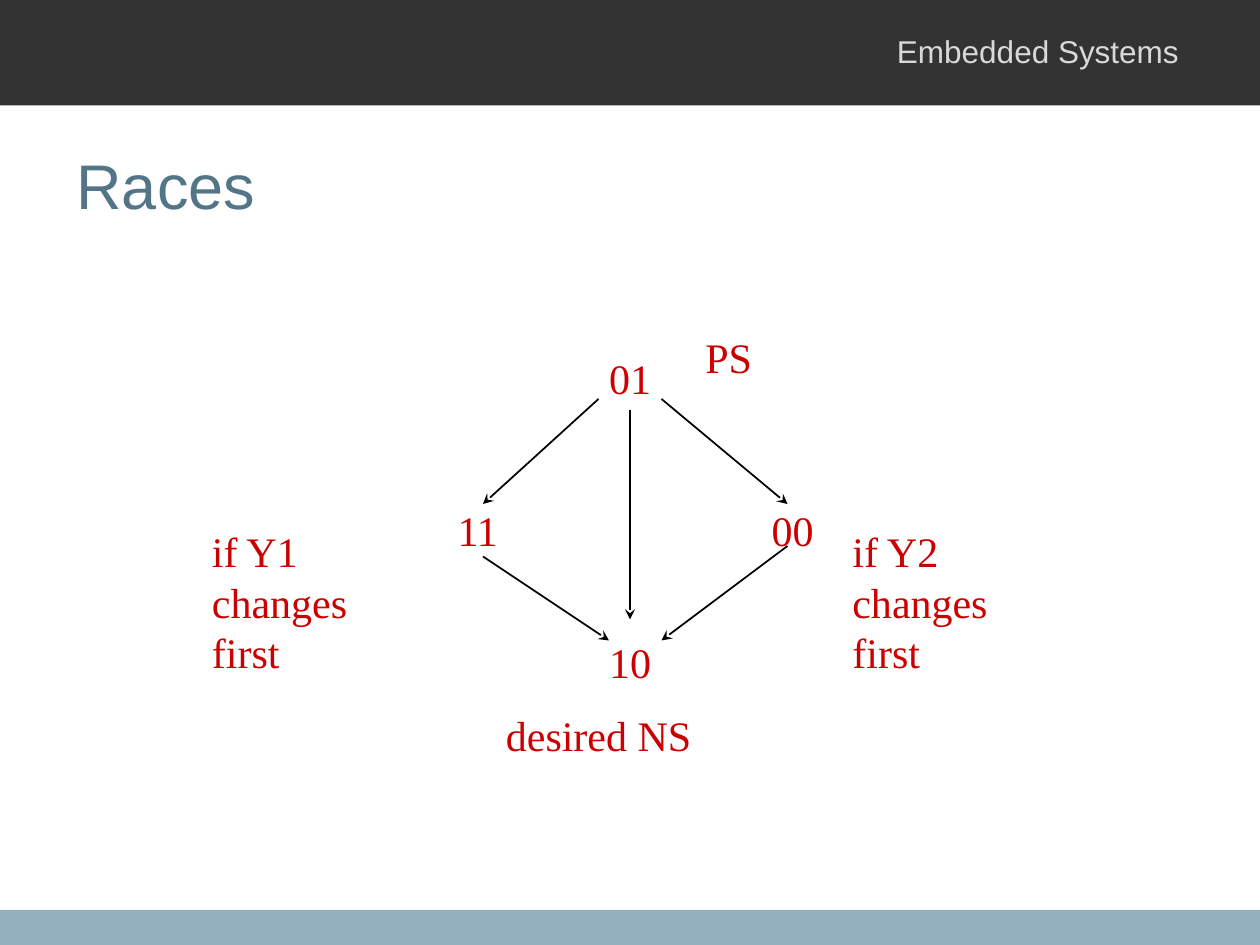
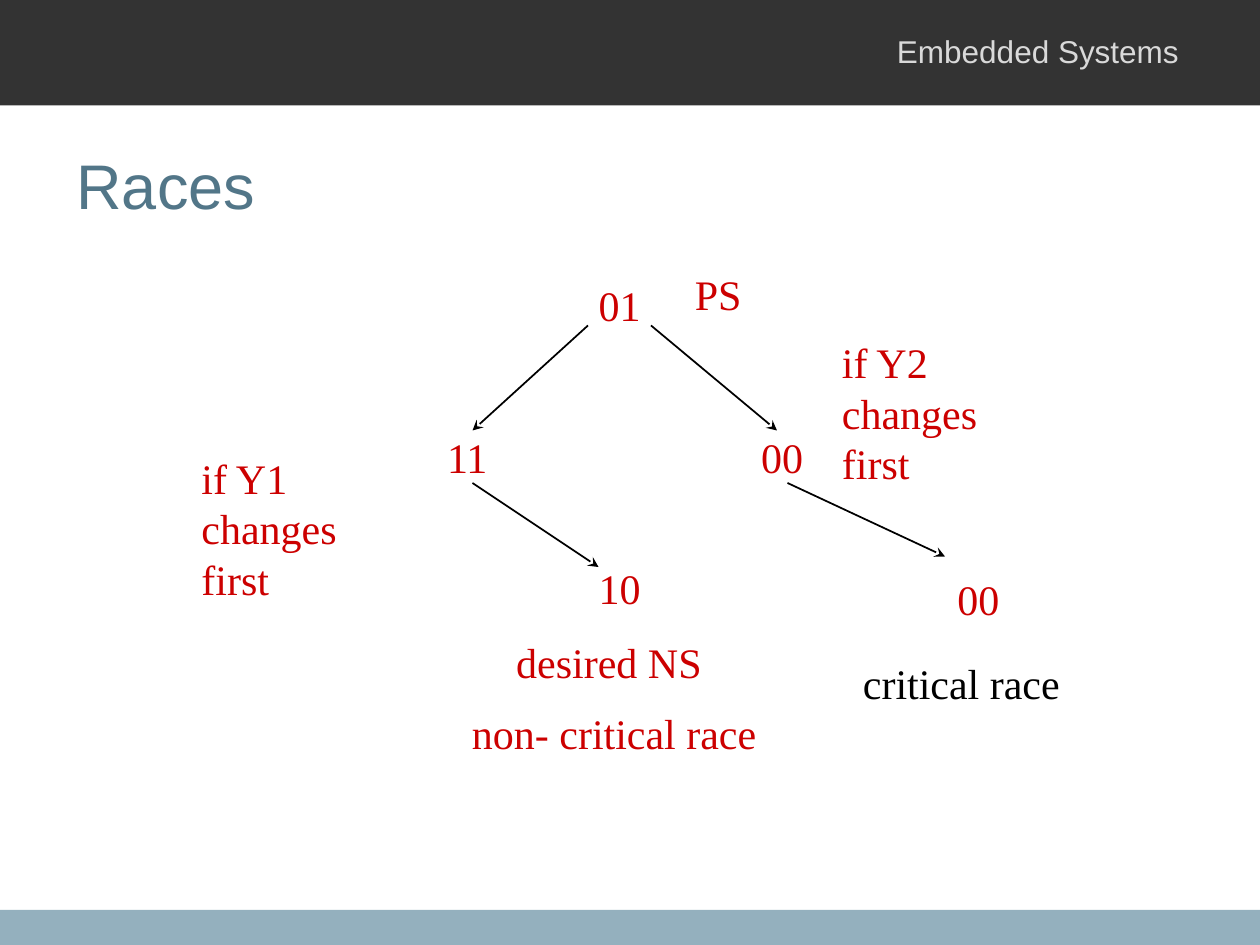
from lxml import etree
from pptx import Presentation
from pptx.dml.color import RGBColor
from pptx.enum.shapes import MSO_CONNECTOR, MSO_SHAPE
from pptx.enum.text import MSO_ANCHOR, MSO_AUTO_SIZE, PP_ALIGN
from pptx.oxml.ns import qn
from pptx.util import Pt

RECT = MSO_SHAPE.RECTANGLE
STRAIGHT = MSO_CONNECTOR.STRAIGHT
LEFT, CENTER = PP_ALIGN.LEFT, PP_ALIGN.CENTER
MIDDLE = MSO_ANCHOR.MIDDLE
FIT, NO_FIT = MSO_AUTO_SIZE.SHAPE_TO_FIT_TEXT, MSO_AUTO_SIZE.NONE
BOTTOM_SITE = 2

BAND, FOOTER, HEADER_TEXT = "333333", "94B0BE", "D9D9D9"
TITLE, RED, BLACK = "527688", "CC0000", "000000"
SANS, SERIF = "Arial", "Times New Roman"


def rgb(value):
    """Turn a hex string into a colour."""
    return RGBColor.from_string(value)


class Deck:
    """Hold the shared style and the current slide."""

    def __init__(self):
        """Start an empty 10 by 7.5 inch presentation."""
        self.prs = Presentation()
        self.prs.slide_width, self.prs.slide_height = Pt(720), Pt(540)
        self.s = None

    def slide(self, title):
        """Add a slide with its bands, header and title."""
        self.s = self.prs.slides.add_slide(self.prs.slide_layouts[5])
        self.band(520, 20, FOOTER)
        self.band(0, 60.25, BAND)
        self.text(505.5, 15, 180, 29, ["Embedded Systems"], HEADER_TEXT, LEFT, 18, SANS)
        sp = self.s.shapes.title
        sp.left, sp.top, sp.width, sp.height = Pt(36.5), Pt(60.5), Pt(648), Pt(90)
        tf = sp.text_frame
        tf.auto_size = NO_FIT
        tf.vertical_anchor = MIDDLE
        self.run(tf.paragraphs[0], title, TITLE, LEFT, 36, SANS)

    def band(self, y, h, color):
        """Draw a full-width band."""
        sp = self.s.shapes.add_shape(RECT, 0, Pt(y), self.prs.slide_width, Pt(h))
        sp.shadow.inherit = False
        sp.fill.solid()
        sp.fill.fore_color.rgb = rgb(color)
        sp.line.fill.background()

    def run(self, p, text, color, align, size, font):
        """Add a formatted run to a paragraph."""
        p.alignment = align
        r = p.add_run()
        r.text = text
        r.font.size, r.font.name = Pt(size), font
        r.font.color.rgb = rgb(color)

    def text(self, x, y, w, h, lines, color=RED, align=LEFT, size=24, font=SERIF):
        """Add a text box with one paragraph per line."""
        sp = self.s.shapes.add_textbox(Pt(x), Pt(y), Pt(w), Pt(h))
        tf = sp.text_frame
        tf.word_wrap = True
        tf.auto_size = FIT
        for i, line in enumerate(lines):
            p = tf.add_paragraph() if i else tf.paragraphs[0]
            if i:
                p.space_before = Pt(size / 2)
            self.run(p, line, color, align, size, font)
        return sp

    def arrow(self, x1, y1, x2, y2):
        """Draw a thin arrow from the first point to the second."""
        c = self.s.shapes.add_connector(STRAIGHT, Pt(x1), Pt(y1), Pt(x2), Pt(y2))
        c.line.color.rgb = rgb(BLACK)
        c.line.width = Pt(1)
        etree.SubElement(c.line._get_or_add_ln(), qn("a:tailEnd"), type="stealth")
        etree.SubElement(c._element.spPr, qn("a:effectLst"))
        return c

    def condition(self, x, y, variable):
        """Label the branch taken when a variable changes first."""
        self.text(x, y, 132, 93.6, [f"if {variable} changes first"])

    def race(self, x, y):
        """Draw the states and their shared transitions, returning the start state."""
        states = [("01", 87, 0, 54), ("10", 84, 162, 60),
                  ("11", 0, 87, 54), ("00", 186, 87, 42)]
        boxes = {name: self.text(x + dx, y + dy, w, 36, [name], align=CENTER)
                 for name, dx, dy, w in states}
        for x1, y1, x2, y2 in [(96, 30, 30, 90), (132, 30, 204, 90), (30, 120, 102, 168)]:
            self.arrow(x + x1, y + y1, x + x2, y + y2)
        self.condition(x - 132, y + 99, "Y1")
        return boxes["01"]


def main():
    """Build both slides and save them."""
    deck = Deck()

    deck.slide("Races")
    start = deck.race(246, 198)
    deck.arrow(450, 312, 378, 366)
    deck.text(396, 186, 48, 36, ["PS"])
    deck.text(282, 402, 156, 36, ["desired NS"])
    deck.condition(480, 297, "Y2")
    deck.arrow(360, 234, 360, 354).begin_connect(start, BOTTOM_SITE)

    deck.slide("Races")
    deck.race(240, 156)
    deck.arrow(450, 276, 540, 318)
    deck.text(390, 150, 48, 36, ["PS"])
    deck.text(246, 360, 210, 79, ["desired NS ", "non- critical race"], align=CENTER)
    deck.condition(474, 189, "Y2")
    deck.text(486, 372, 156, 36, ["critical race"], BLACK)
    deck.text(540, 324, 48, 36, ["00"])

    deck.prs.save("out.pptx")


if __name__ == "__main__":
    main()
